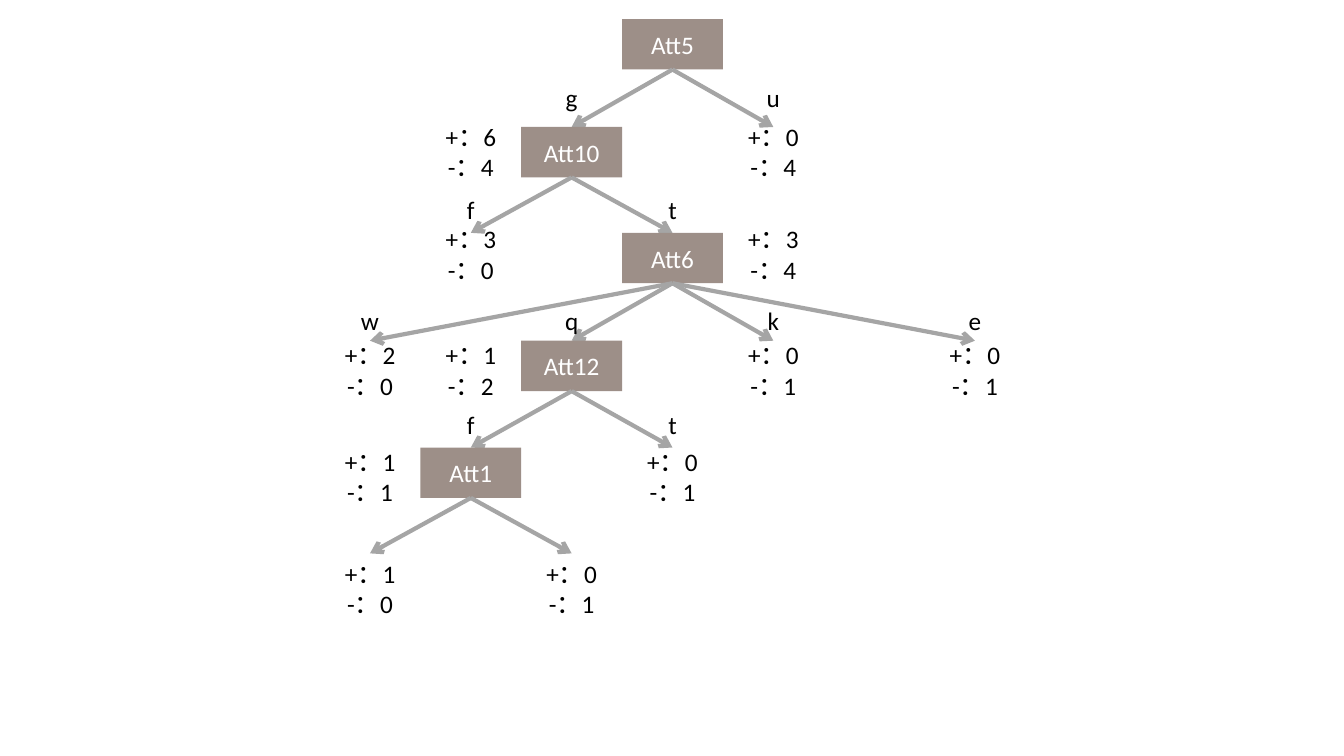
from lxml import etree
from pptx import Presentation
from pptx import util as u
from pptx.dml.color import RGBColor as Rgb
from pptx.enum import lang, shapes, text
from pptx.oxml import ns

PX = u.Inches(1) // 100  # 100 px to the inch
theme = {
    "node": Rgb.from_string("9D8F88"),
    "link": Rgb.from_string("A5A5A5"),
    "light": Rgb.from_string("FFFFFF"),
    "dark": Rgb.from_string("000000"),
    "font": "Calibri",
    "size": u.Pt(18),
    "line": u.Pt(3),
}

# Grid: column centres 100 px apart, one top per tree level
WIDE, HIGH = 100, 50
cols = [367 + 100 * i for i in range(7)]
tops = [19, 126, 231, 338, 444, 549]
tags = [None, 77, 188, 298, 401]  # tops of the branch labels
sums = [None, 115, 217, 332, 438, 549]  # tops of the counts

# Tree: (name, column, level) and the columns its branches reach
nodes = [
    ("Att5", 3, 0, [2, 4]),
    ("Att10", 2, 1, [1, 3]),
    ("Att6", 3, 2, [2, 4, 0, 6]),
    ("Att12", 2, 3, [1, 3]),
    ("Att1", 1, 4, [0, 2]),
]
# Branch labels: (text, column, level)
marks = [
    ("g", 2, 1), ("u", 4, 1), ("f", 1, 2), ("t", 3, 2),
    ("w", 0, 3), ("q", 2, 3), ("k", 4, 3), ("e", 6, 3),
    ("f", 1, 4), ("t", 3, 4),
]
# Counts: (plus, minus, column, level)
counts = [
    (6, 4, 1, 1), (0, 4, 4, 1), (3, 0, 1, 2), (3, 4, 4, 2),
    (2, 0, 0, 3), (1, 2, 1, 3), (0, 1, 4, 3), (0, 1, 6, 3),
    (1, 1, 0, 4), (0, 1, 3, 4), (1, 0, 0, 5), (0, 1, 2, 5),
]

deck = Presentation()
deck.slide_width, deck.slide_height = 1333 * PX, 750 * PX
slide = deck.slides.add_slide(deck.slide_layouts[6])
parts = slide.shapes


def write(words, mid, top, high, color="dark", fill=None):
    """Place centred text in a box, filled if a fill is given."""
    area = [n * PX for n in (mid - WIDE // 2, top, WIDE, high)]
    if fill:
        box = parts.add_shape(shapes.MSO_SHAPE.RECTANGLE, *area)
        box.shadow.inherit = False
        box.fill.solid()
        box.fill.fore_color.rgb = theme[fill]
        box.line.fill.background()
    else:
        box = parts.add_textbox(*area)
    frame = box.text_frame
    frame.word_wrap = True
    if fill:
        frame.vertical_anchor = text.MSO_ANCHOR.MIDDLE
    else:
        frame.auto_size = text.MSO_AUTO_SIZE.SHAPE_TO_FIT_TEXT
    frame.text = words
    for para in frame.paragraphs:
        para.alignment = text.PP_ALIGN.CENTER
        for run in para.runs:
            run.font.name = theme["font"]
            run.font.size = theme["size"]
            run.font.color.rgb = theme[color]
            run.font.language_id = lang.MSO_LANGUAGE_ID.SIMPLIFIED_CHINESE


# Nodes and their arrows
for name, col, level, ends in nodes:
    write(name, cols[col], tops[level], HIGH, color="light", fill="node")
    for end in ends:
        link = parts.add_connector(
            shapes.MSO_CONNECTOR.STRAIGHT,
            cols[col] * PX, (tops[level] + HIGH) * PX,
            cols[end] * PX, tops[level + 1] * PX,
        )
        link.line.color.rgb = theme["link"]
        link.line.width = theme["line"]
        etree.SubElement(link.line._get_or_add_ln(), ns.qn("a:tailEnd"), type="arrow")
        etree.SubElement(link._element.spPr, ns.qn("a:effectLst"))

# Branch labels
for mark, col, level in marks:
    write(mark, cols[col], tags[level], 40)

# Counts of positive and negative cases
for plus, minus, col, level in counts:
    write(f"+：{plus}\n-：{minus}", cols[col], sums[level], 71)

deck.save("out.pptx")
